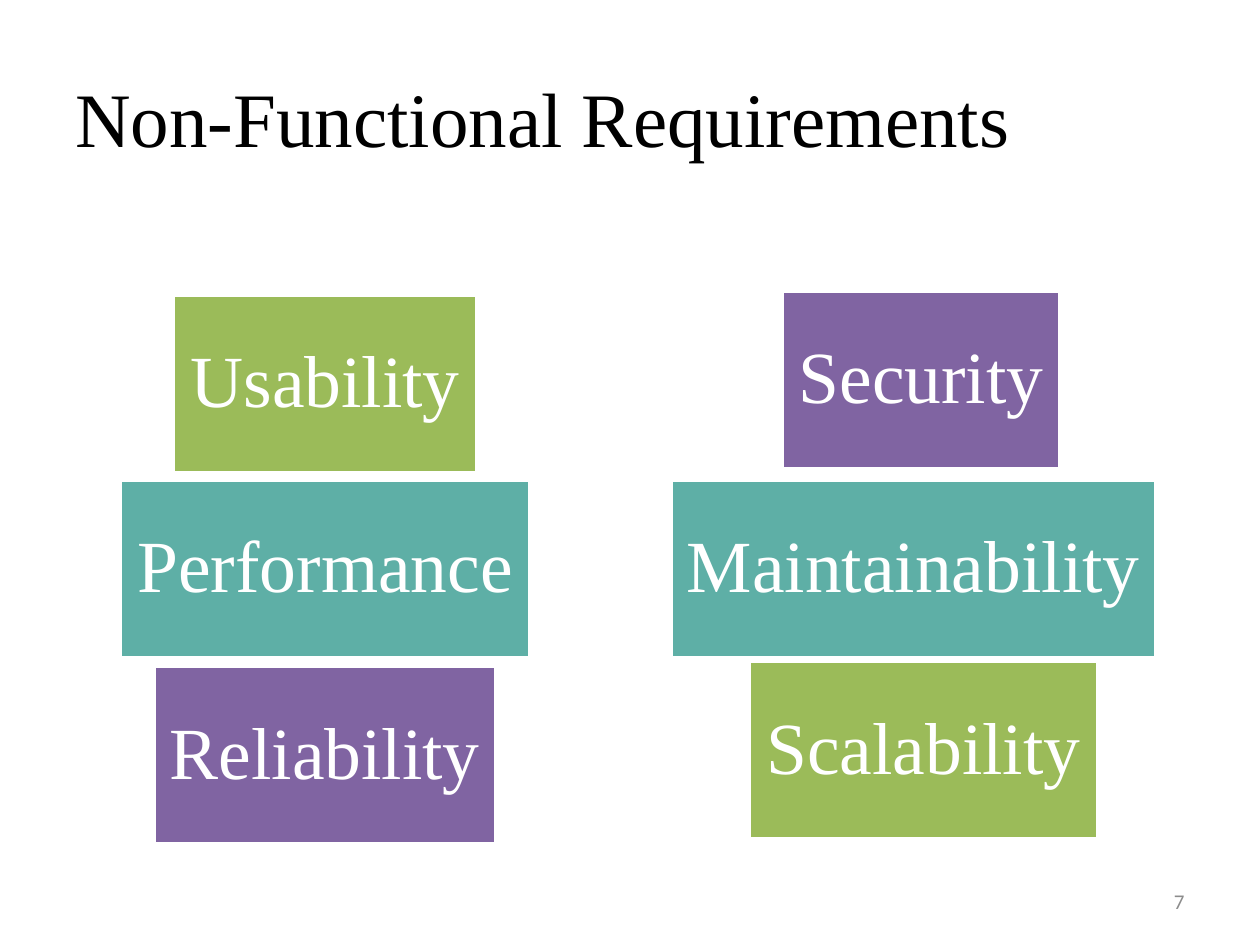
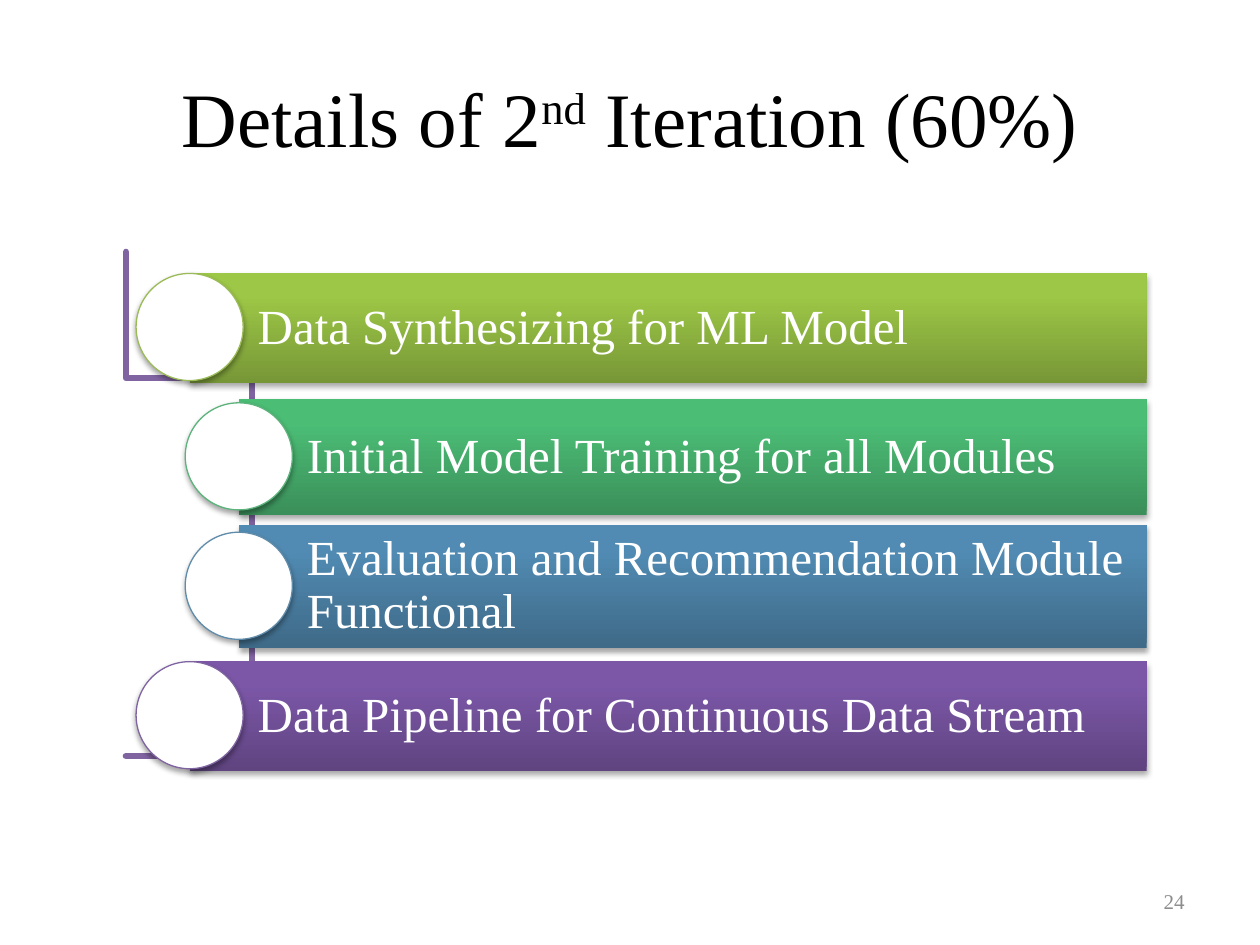
import math

from lxml import etree
from pptx import Presentation, util as u
from pptx.dml.color import RGBColor
from pptx.enum import shapes, text
from pptx.oxml import parse_xml

SERIF = "Times New Roman"
WHITE, GREEN, TEAL, PURPLE = "FFFFFF", "9BBB59", "5EAFA6", "8064A2"
LEFT, CENTER, RIGHT = text.PP_ALIGN.LEFT, text.PP_ALIGN.CENTER, text.PP_ALIGN.RIGHT
DRAWING = "http://schemas.openxmlformats.org/drawingml/2006/main"
SOFT_SHADOW = (
    f'<a:effectLst xmlns:a="{DRAWING}">'
    '<a:outerShdw blurRad="40000" dist="23000" dir="5400000" rotWithShape="0">'
    '<a:srgbClr val="000000"><a:alpha val="35000"/></a:srgbClr>'
    '</a:outerShdw></a:effectLst>'
)


def rgb(code):
    return RGBColor.from_string(code)


def write(shape, *runs, size, color=WHITE, font=SERIF, align=LEFT, spacing=1.0,
          wrap=True, inset=0.1, left_inset=None):
    """Fill a shape with one paragraph; a run starting with ^ is superscript."""
    frame = shape.text_frame
    frame.word_wrap = wrap
    frame.vertical_anchor = text.MSO_ANCHOR.MIDDLE
    frame.margin_right = frame.margin_top = frame.margin_bottom = u.Inches(inset)
    frame.margin_left = u.Inches(inset if left_inset is None else left_inset)
    paragraph = frame.paragraphs[0]
    paragraph.alignment, paragraph.line_spacing = align, spacing
    for words in runs:
        run = paragraph.add_run()
        run.text = words.lstrip("^")
        run.font.size, run.font.name = u.Pt(size), font
        run.font.color.rgb = rgb(color)
        if words.startswith("^"):
            run.font._element.set("baseline", "30000")


deck = Presentation()
deck.slide_width, deck.slide_height = u.Inches(10), u.Inches(7.5)

# Title and page number of both slides
pages = []
for title, title_align, number, number_font in [
    (["Non-Functional Requirements"], LEFT, "7", "Calibri"),
    (["Details of 2", "^nd", " Iteration (60%)"], CENTER, "24", SERIF),
]:
    page = deck.slides.add_slide(deck.slide_layouts[6])
    heading = page.shapes.add_textbox(*map(u.Inches, (0.5, 0.3, 9, 1.25)))
    write(heading, *title, size=44, color="000000", align=title_align)
    footer = page.shapes.add_textbox(*map(u.Inches, (7.17, 6.95, 2.33, 0.4)))
    write(footer, number, size=12, color="8C8C8C", font=number_font, align=RIGHT)
    pages.append(page)
requirements, iteration = pages

# Requirement blocks: name, centre, top, width, colour
for name, center, top, width, color in [
    ("Usability", 2.58, 2.34, 2.41, GREEN),
    ("Performance", 2.58, 3.81, 3.25, TEAL),
    ("Reliability", 2.58, 5.29, 2.71, PURPLE),
    ("Security", 7.31, 2.31, 2.21, PURPLE),
    ("Maintainability", 7.25, 3.81, 3.84, TEAL),
    ("Scalability", 7.33, 5.25, 2.76, GREEN),
]:
    block = requirements.shapes.add_shape(
        shapes.MSO_SHAPE.RECTANGLE,
        *map(u.Inches, (center - width / 2, top, width, 1.41)))
    block.shadow.inherit = False
    block.fill.solid()
    block.fill.fore_color.rgb = rgb(color)
    block.line.color.rgb, block.line.width = rgb(WHITE), u.Pt(2)
    write(block, name, size=42, align=CENTER, spacing=0.9, wrap=False, inset=0.12)

# Quarter-circle spine behind the steps
RADIUS, SPINE_X, SPINE_Y = 2.98, -1.02, 4.14
curve = [(SPINE_X + RADIUS * math.cos(math.radians(angle)),
          SPINE_Y + RADIUS * math.sin(math.radians(angle)))
         for angle in range(-45, 46)]
outline = iteration.shapes.build_freeform(*curve[0], scale=u.Inches(1))
outline.add_line_segments(curve[1:], close=False)
spine = outline.convert_to_shape()
spine.shadow.inherit = False
spine.fill.background()
spine.line.color.rgb, spine.line.width = rgb(PURPLE), u.Pt(3.75)
spine.line._ln.set("cap", "rnd")

# Steps: wording, circle left, bar top, bar height, dark, light, circle outline
BAR_RIGHT, CIRCLE, FIRST_TOP, PITCH = 9.1, 0.85, 2.17, 1.027
for row, (step, circle_left, bar_top, bar_height, dark, light, rim) in enumerate([
    ("Data Synthesizing for ML Model", 1.08, 2.17, 0.87, "779737", "9DC746", GREEN),
    ("Initial Model Training for all Modules", 1.47, 3.17, 0.92, "3B8F5A", "4BBD75", "5CB37C"),
    ("Evaluation and Recommendation Module Functional", 1.47, 4.17, 0.97,
     "3F6A88", "518BB3", "608CAB"),
    ("Data Pipeline for Continuous Data Stream", 1.08, 5.25, 0.87, "5F4480", "7C57A8", PURPLE),
]):
    bar_left = circle_left + CIRCLE / 2
    bar = iteration.shapes.add_shape(
        shapes.MSO_SHAPE.RECTANGLE,
        *map(u.Inches, (bar_left, bar_top, BAR_RIGHT - bar_left, bar_height)))
    bar.fill.gradient()
    bar.fill.gradient_angle = 90
    for stop, color, position in zip(bar.fill.gradient_stops, (dark, light), (0, 0.8)):
        stop.color.rgb, stop.position = rgb(color), position
    bar.line.fill.background()
    write(bar, step, size=28, spacing=0.9, inset=0.08, left_inset=0.54)

    circle = iteration.shapes.add_shape(
        shapes.MSO_SHAPE.OVAL,
        *map(u.Inches, (circle_left, FIRST_TOP + row * PITCH, CIRCLE, CIRCLE)))
    circle.fill.solid()
    circle.fill.fore_color.rgb = rgb(WHITE)
    circle.line.color.rgb, circle.line.width = rgb(rim), u.Pt(0.75)
    for part in (bar, circle):
        part._element.spPr.append(parse_xml(SOFT_SHADOW))

deck.save("out.pptx")
